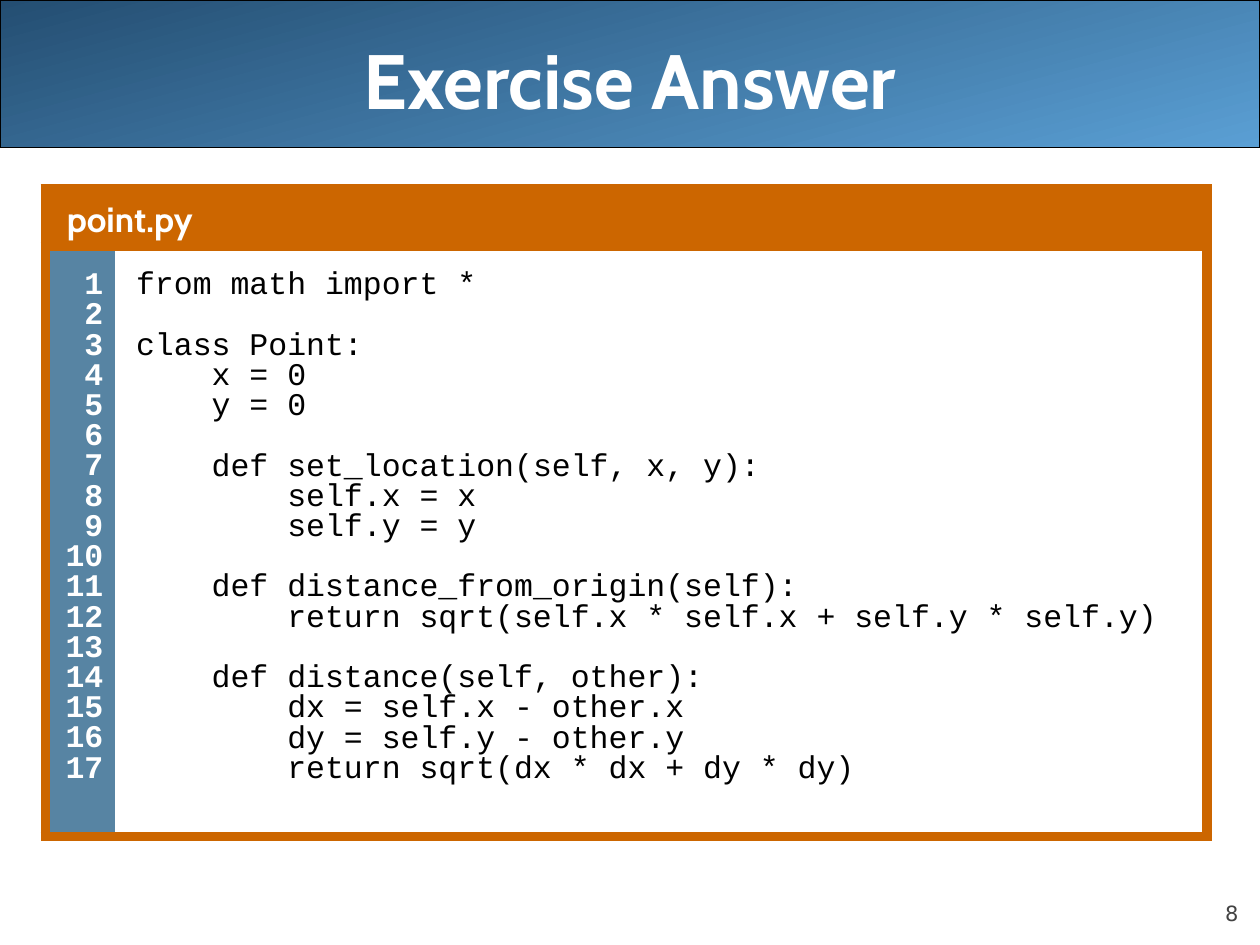
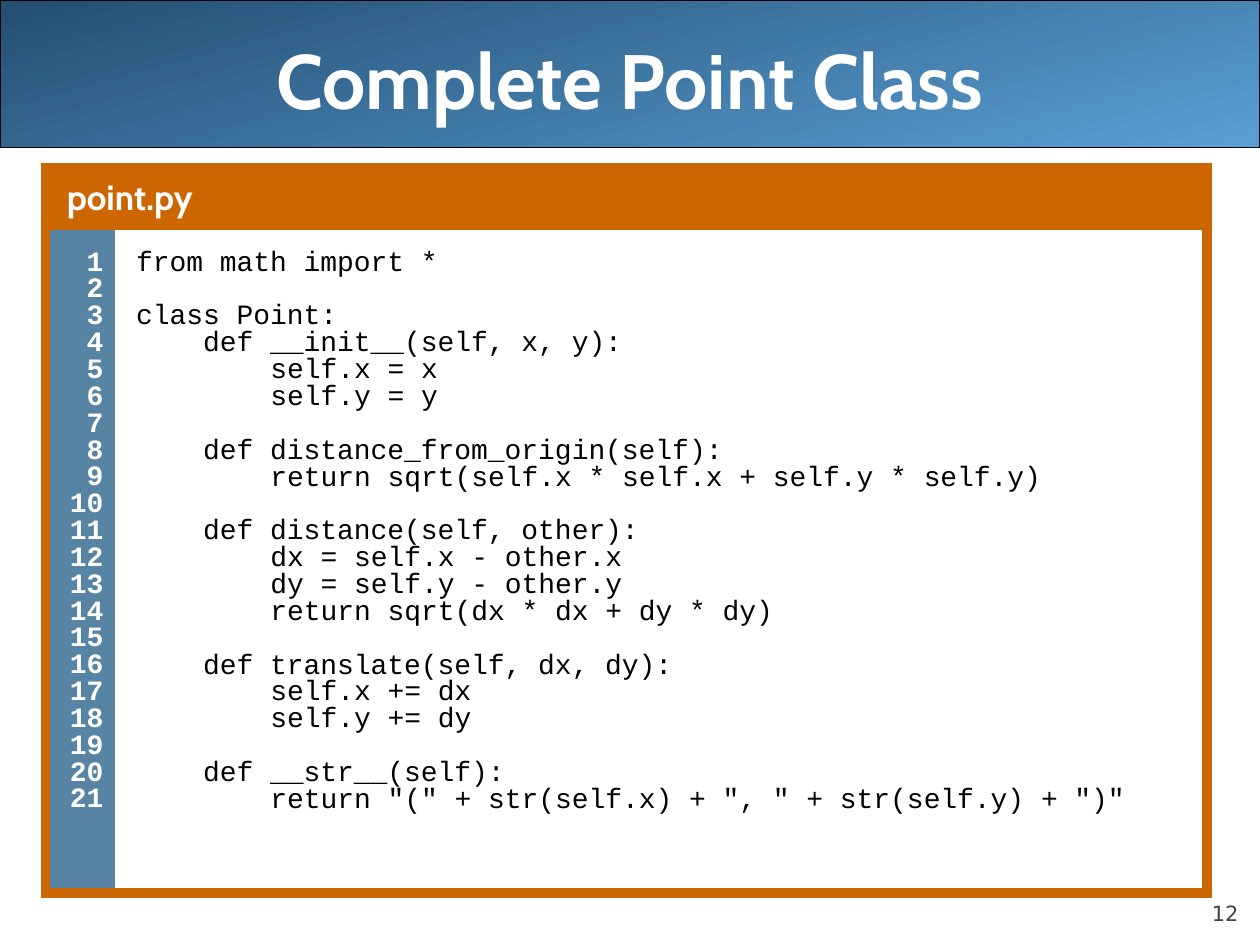
from pptx import Presentation
from pptx.dml.color import RGBColor
from pptx.enum.shapes import MSO_SHAPE
from pptx.enum.text import MSO_ANCHOR, MSO_AUTO_SIZE, PP_ALIGN
from pptx.oxml.ns import qn
from pptx.util import Inches, Pt
from lxml import etree

BAND_SHAPE = MSO_SHAPE.ROUNDED_RECTANGLE
MIDDLE, BOTTOM = MSO_ANCHOR.MIDDLE, MSO_ANCHOR.BOTTOM
NO_AUTOFIT = MSO_AUTO_SIZE.NONE
LEFT, CENTER, RIGHT = PP_ALIGN.LEFT, PP_ALIGN.CENTER, PP_ALIGN.RIGHT

WHITE, BLACK, GRAY = "FFFFFF", "000000", "424242"
ORANGE, STEEL = "CC6600", "5784A3"
BAND_START, BAND_END = "244E72", "5A9FD4"
HEADING_FONT, CODE_FONT, NUMBER_FONT = "Cabin", "Courier New", "DejaVu Sans"

TITLE_ONLY = 5
FRAME_WIDTH = Pt(6)
TEXT_INDENT = 0.12
LINE_SPACING = 0.67
SPACE_BEFORE = 0.2
BLANK_LINE = 0.96
CHAR_WIDTH = 0.6

ANSWER_CODE = """\
from math import *

class Point:
    x = 0
    y = 0

    def set_location(self, x, y):
        self.x = x
        self.y = y

    def distance_from_origin(self):
        return sqrt(self.x * self.x + self.y * self.y)

    def distance(self, other):
        dx = self.x - other.x
        dy = self.y - other.y
        return sqrt(dx * dx + dy * dy)"""

COMPLETE_CODE = """\
from math import *

class Point:
    def __init__(self, x, y):
        self.x = x
        self.y = y

    def distance_from_origin(self):
        return sqrt(self.x * self.x + self.y * self.y)

    def distance(self, other):
        dx = self.x - other.x
        dy = self.y - other.y
        return sqrt(dx * dx + dy * dy)

    def translate(self, dx, dy):
        self.x += dx
        self.y += dy

    def __str__(self):
        return "(" + str(self.x) + ", " + str(self.y) + ")\""""


def color(value):
    return RGBColor.from_string(value)


def style(paragraph, size, font, ink, bold=False, align=LEFT):
    paragraph.alignment = align
    paragraph.font.size = Pt(size)
    paragraph.font.name = font
    paragraph.font.bold = bold
    paragraph.font.color.rgb = color(ink)


def set_spacing(paragraph, size, line_spacing, before=SPACE_BEFORE, indent=TEXT_INDENT):
    paragraph.line_spacing = line_spacing
    paragraph.space_before = Pt(round(before * size, 1))
    properties = paragraph._p.get_or_add_pPr()
    properties.set("marL", str(Inches(indent)))
    properties.set("indent", "0")


def add_band(slide):
    band = slide.shapes.add_shape(BAND_SHAPE, 0, 0, Inches(10), Inches(1.17))
    band.adjustments[0] = 0
    band.shadow.inherit = False
    band.fill.gradient()
    band.fill.gradient_angle = 285
    for stop, shade in zip(band.fill.gradient_stops, (BAND_START, BAND_END)):
        stop.color.rgb = color(shade)
    band.line.color.rgb = color(BLACK)
    band.line.width = Pt(0.75)
    slide.shapes._spTree.insert(2, band._element)


def set_title(slide, text):
    title = slide.shapes.title
    title.left, title.top = Inches(0.5), Inches(0)
    title.width, title.height = Inches(9), Inches(1.25)
    frame = title.text_frame
    frame.text = text
    frame.word_wrap = True
    frame.auto_size = NO_AUTOFIT
    frame.vertical_anchor = MIDDLE
    style(frame.paragraphs[0], 44, HEADING_FONT, WHITE, True, CENTER)


def add_page_number(slide, number):
    box = slide.shapes.add_textbox(Inches(9), Inches(6.95), Inches(0.83), Inches(0.4))
    frame = box.text_frame
    frame.margin_left = frame.margin_right = frame.margin_top = frame.margin_bottom = 0
    frame.word_wrap = True
    frame.vertical_anchor = BOTTOM
    frame.text = str(number)
    style(frame.paragraphs[0], 12, NUMBER_FONT, GRAY, align=RIGHT)


def format_cell(cell, background, margins, open_side=None):
    properties = cell._tc.get_or_add_tcPr()
    for side in ("L", "R", "T", "B"):
        border = etree.SubElement(properties, qn(f"a:ln{side}"))
        if side == open_side:
            etree.SubElement(border, qn("a:noFill"))
        else:
            border.set("w", str(FRAME_WIDTH))
            solid = etree.SubElement(border, qn("a:solidFill"))
            etree.SubElement(solid, qn("a:srgbClr"), val=ORANGE)
    cell.fill.solid()
    cell.fill.fore_color.rgb = color(background)
    left, top, right, bottom = map(Inches, margins)
    cell.margin_left, cell.margin_top = left, top
    cell.margin_right, cell.margin_bottom = right, bottom


def fill_file_name(cell, file_name):
    cell.text = file_name
    paragraph = cell.text_frame.paragraphs[0]
    style(paragraph, 20, HEADING_FONT, WHITE, True)
    set_spacing(paragraph, 20, 1.07)


def fill_line_numbers(cell, count, size):
    cell.text = "\n".join(str(number) for number in range(1, count + 1))
    for paragraph in cell.text_frame.paragraphs:
        style(paragraph, size, CODE_FONT, WHITE, True, RIGHT)
        set_spacing(paragraph, size, LINE_SPACING, indent=0)


def fill_code(cell, lines, size):
    statements = [line.lstrip() for line in lines if line]
    cell.text = "\n".join(statements)
    paragraphs = iter(cell.text_frame.paragraphs)
    before = SPACE_BEFORE
    for line in lines:
        if not line:
            before += BLANK_LINE
            continue
        paragraph = next(paragraphs)
        depth = len(line) - len(line.lstrip())
        style(paragraph, size, CODE_FONT, BLACK)
        set_spacing(paragraph, size, LINE_SPACING, before,
                    TEXT_INDENT + depth * CHAR_WIDTH * size / 72)
        before = SPACE_BEFORE


def add_listing(slide, file_name, code, size, top, body_height):
    header_height = 0.42
    table = slide.shapes.add_table(
        2, 2, Inches(0.36), Inches(top), Inches(9.22),
        Inches(header_height + body_height)).table
    for column, width in zip(table.columns, (0.55, 8.67)):
        column.width = Inches(width)
    for row, height in zip(table.rows, (header_height, body_height)):
        row.height = Inches(height)

    header, header_end = table.cell(0, 0), table.cell(0, 1)
    header.merge(header_end)
    for cell in (header, header_end):
        format_cell(cell, ORANGE, (0.05, 0.05, 0.05, 0.05))
    fill_file_name(header, file_name)

    lines = code.splitlines()
    numbers, listing = table.cell(1, 0), table.cell(1, 1)
    format_cell(numbers, STEEL, (0.05, 0.23, 0.09, 0.23), "R")
    format_cell(listing, WHITE, (0.05, 0.23, 0.18, 0.23), "L")
    fill_line_numbers(numbers, len(lines), size)
    fill_code(listing, lines, size)


def add_code_slide(deck, title, number, code, size, top, body_height):
    slide = deck.slides.add_slide(deck.slide_layouts[TITLE_ONLY])
    add_band(slide)
    add_page_number(slide, number)
    set_title(slide, title)
    add_listing(slide, "point.py", code, size, top, body_height)


def main():
    deck = Presentation()
    deck.slide_width, deck.slide_height = Inches(10), Inches(7.5)
    add_code_slide(deck, "Exercise Answer", 8, ANSWER_CODE, 18, 1.5, 4.4)
    add_code_slide(deck, "Complete Point Class", 12, COMPLETE_CODE, 16, 1.33, 5.3)
    deck.save("out.pptx")


if __name__ == "__main__":
    main()
